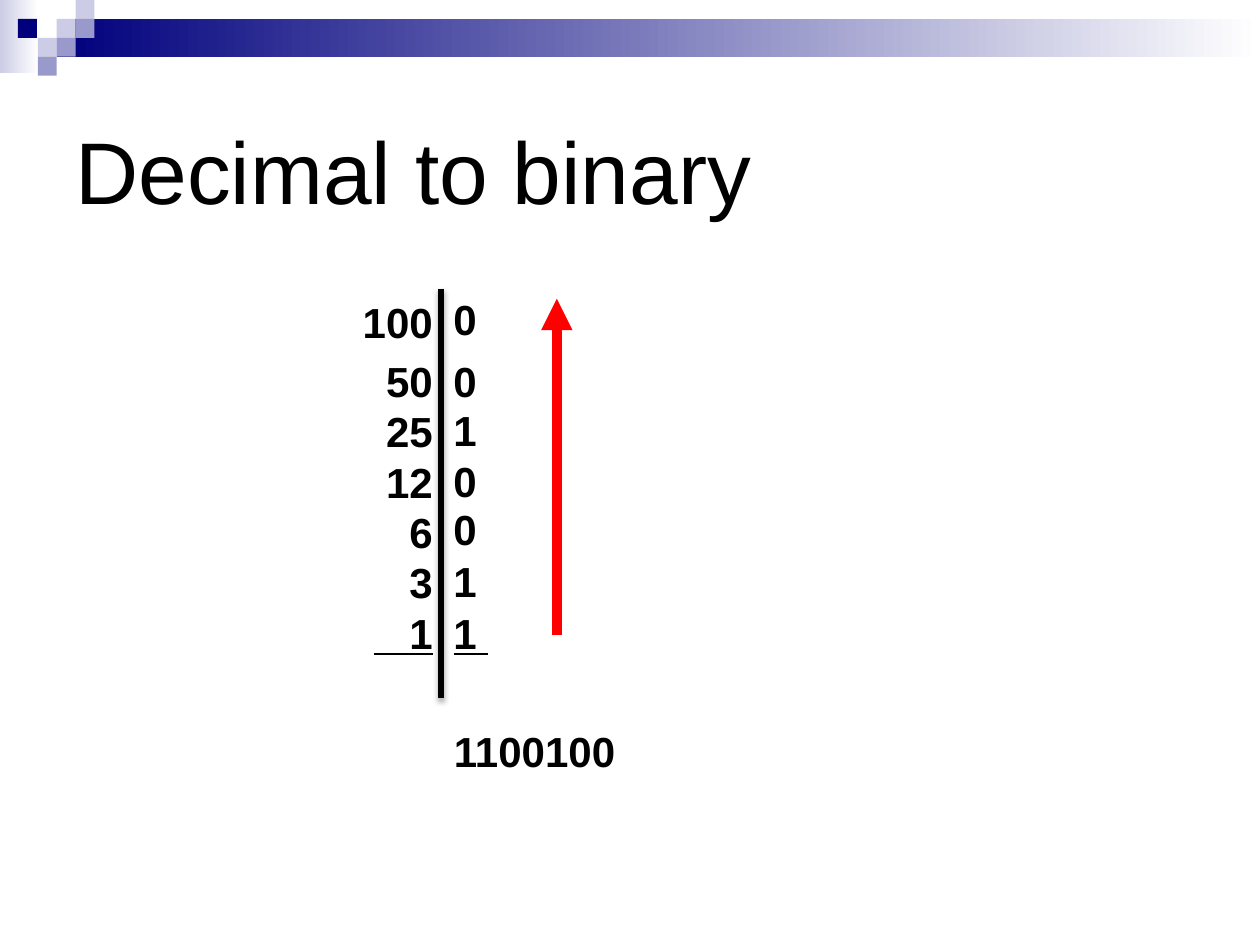
import pptx
import pptx.util
import pptx.dml.color
import pptx.enum.shapes
import pptx.enum.text
import pptx.oxml
import pptx.oxml.ns

Pt = pptx.util.Pt
ALIGN = pptx.enum.text.PP_ALIGN
ANCHOR = pptx.enum.text.MSO_ANCHOR
COLORS = {
    "black": "000000", "white": "FFFFFF", "red": "FF0000",
    "navy": "00007D", "lilac": "9999CC", "pale": "CCCCE6",
}
QUOTIENTS = [100, 50, 25, 12, 6, 3, 1]
REMAINDER_TOPS = [0, 35.2, 63.3, 92.8, 120.2, 149.7, 179.2]
SHADOW = (
    '<a:outerShdw blurRad="39370" dist="22860" dir="5400000" rotWithShape="0">'
    '<a:srgbClr val="000000"><a:alpha val="35000"/></a:srgbClr></a:outerShdw>'
)


def rgb(name):
    """Return the named colour."""
    return pptx.dml.color.RGBColor.from_string(COLORS[name])


def add_rectangle(slide, box, *names):
    """Add a borderless rectangle, filled solid or with a gradient to the right."""
    shape = slide.shapes.add_shape(
        pptx.enum.shapes.MSO_SHAPE.RECTANGLE, *map(Pt, box))
    shape.shadow.inherit = False
    shape.line.fill.background()
    if len(names) == 1:
        shape.fill.solid()
        shape.fill.fore_color.rgb = rgb(names[0])
        return
    shape.fill.gradient()
    shape.fill.gradient_angle = 0
    for stop, name in zip(shape.fill.gradient_stops, names):
        stop.color.rgb = rgb(name)


def add_line(slide, start, end, name, width, effect="", tail=False):
    """Add a straight line with an optional shadow and arrowhead."""
    line = slide.shapes.add_connector(
        pptx.enum.shapes.MSO_CONNECTOR.STRAIGHT, *map(Pt, start + end))
    line.line.color.rgb = rgb(name)
    line.line.width = Pt(width)
    namespace = pptx.oxml.ns.nsdecls("a")
    if tail:
        line.line._get_or_add_ln().append(
            pptx.oxml.parse_xml(f'<a:tailEnd {namespace} type="triangle"/>'))
    line._element.spPr.append(pptx.oxml.parse_xml(
        f"<a:effectLst {namespace}>{effect}</a:effectLst>"))


def add_text(slide, box, text, size=24, bold=True, align=ALIGN.LEFT,
             margins=(0, 0, 0, 0), anchor=ANCHOR.TOP):
    """Add a wrapped text box and return its text frame."""
    frame = slide.shapes.add_textbox(*map(Pt, box)).text_frame
    frame.word_wrap = True
    frame.vertical_anchor = anchor
    (frame.margin_left, frame.margin_top,
     frame.margin_right, frame.margin_bottom) = map(Pt, margins)
    frame.text = text
    for paragraph in frame.paragraphs:
        paragraph.alignment = align
        for run in paragraph.runs:
            run.font.name = "Arial"
            run.font.size = Pt(size)
            run.font.bold = bold
            run.font.color.rgb = rgb("black")
    return frame


def add_banner(slide, left, top, width, cell=10.8):
    """Add the gradient bar and its checkered corner."""
    add_rectangle(slide, (left, top, 22, 41.8), "pale", "white")
    add_rectangle(slide, (left + 3 * cell, top + cell, width - 3 * cell, 2 * cell),
                  "navy", "white")
    squares = [(3, 1, "pale"), (4, 0, "pale"), (4, 1, "lilac"), (2, 2, "pale"),
               (0.95, 1, "navy"), (3, 2, "lilac"), (2, 3, "lilac")]
    for column, row, name in squares:
        add_rectangle(
            slide, (left + column * cell, top + row * cell, cell, cell), name)


def add_division(slide, left, top):
    """Add quotients and remainders on both sides of a divider at left, top."""
    frame = add_text(slide, (left - 62, top + 4.4, 57.3, 206),
                     "\n".join(map(str, QUOTIENTS)), align=ALIGN.RIGHT)
    frame.paragraphs[1].space_before = Pt(4.9)
    add_line(slide, (left, top), (left, top + 234), "black", 3, SHADOW)
    for quotient, offset in zip(QUOTIENTS, REMAINDER_TOPS):
        add_text(slide, (left, top - 0.7 + offset, 24, 36), str(quotient % 2),
                 margins=(7.2, 3.6, 0, 3.6))
    for start, end in ((-38.3, -4.6), (7.4, 26.9)):
        add_line(slide, (left + start, top + 208.8), (left + end, top + 208.8),
                 "black", 1.25)
    add_line(slide, (left + 66.2, top + 198), (left + 66.2, top + 5.8),
             "red", 6, tail=True)
    add_text(slide, (left + 7.4, top + 249.4, 120, 28), f"{QUOTIENTS[0]:b}")


def build():
    """Build and save the slide."""
    presentation = pptx.Presentation()
    presentation.slide_width, presentation.slide_height = Pt(720), Pt(540)
    slide = presentation.slides.add_slide(presentation.slide_layouts[6])
    add_banner(slide, 0, 0, 720)
    add_text(slide, (36, 60.2, 648, 73.4), "Decimal to binary", 50, False,
             margins=(7.2, 3.6, 7.2, 3.6), anchor=ANCHOR.MIDDLE)
    add_division(slide, 252, 164.9)
    presentation.save("out.pptx")


build()
